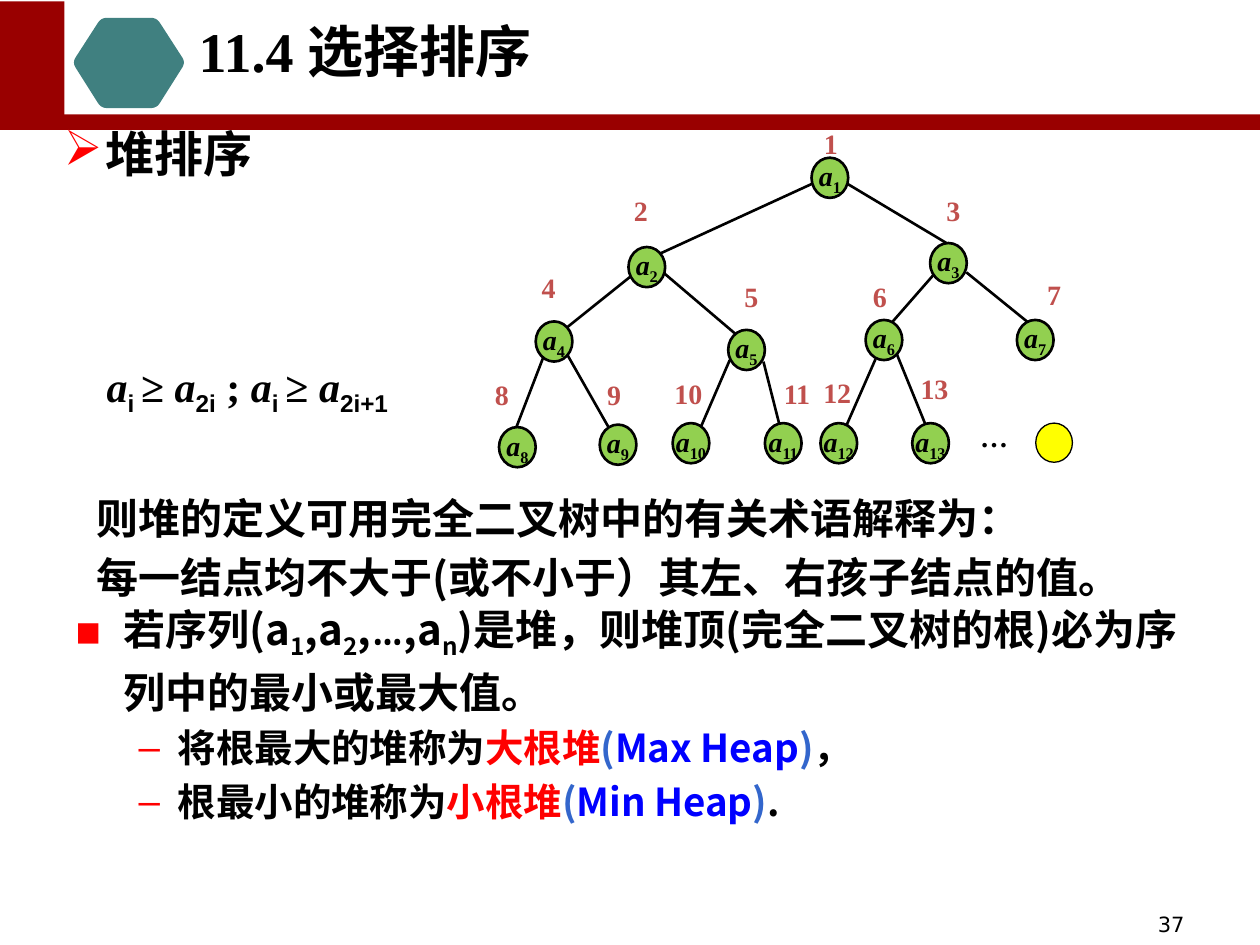
from lxml import etree
from pptx import Presentation
from pptx.dml.color import RGBColor
from pptx.enum.shapes import MSO_CONNECTOR, MSO_SHAPE
from pptx.enum.text import MSO_ANCHOR, MSO_AUTO_SIZE, PP_ALIGN
from pptx.oxml.ns import qn
from pptx.util import Cm, Pt

RECTANGLE, OVAL = MSO_SHAPE.RECTANGLE, MSO_SHAPE.OVAL
STRAIGHT = MSO_CONNECTOR.STRAIGHT
TOP, MIDDLE = MSO_ANCHOR.TOP, MSO_ANCHOR.MIDDLE
LEFT, CENTER, RIGHT = PP_ALIGN.LEFT, PP_ALIGN.CENTER, PP_ALIGN.RIGHT

BLACK = RGBColor(0x00, 0x00, 0x00)
WHITE = RGBColor(0xFF, 0xFF, 0xFF)
DARK_RED = RGBColor(0x99, 0x00, 0x00)
TEAL = RGBColor(0x40, 0x80, 0x80)
GREEN = RGBColor(0x92, 0xD0, 0x50)
YELLOW = RGBColor(0xFF, 0xFF, 0x00)
LABEL_RED = RGBColor(0xC0, 0x50, 0x4D)
RED = RGBColor(0xFF, 0x00, 0x00)
BLUE = RGBColor(0x00, 0x00, 0xFF)
PAREN_BLUE = RGBColor(0x33, 0x66, 0xCC)

SERIF, SANS, CJK = "Times New Roman", "Arial", "Noto Sans CJK SC"
NODE_SIZE, LABEL_SIZE = (0.74, 0.81), (1.3, 0.97)

# Per heap position, in cm: node corner, label corner, edge from the parent.
TREE = [
    ((16.36, 3.18), (16.10, 2.41), None),
    ((12.67, 4.98), (12.27, 3.76), (16.36, 3.71, 13.31, 5.11)),
    ((18.75, 4.90), (18.57, 3.76), (17.09, 3.71, 19.13, 4.93)),
    ((10.80, 6.48), (10.41, 5.31), (12.73, 5.56, 11.43, 6.60)),
    ((14.68, 6.65), (14.50, 5.49), (13.39, 5.51, 14.86, 6.76)),
    ((17.45, 6.45), (17.09, 5.49), (18.82, 5.54, 17.98, 6.50)),
    ((20.50, 6.45), (20.60, 5.44), (19.48, 5.49, 20.85, 6.60)),
    ((10.06, 8.61), (9.47, 7.47), (10.95, 7.21, 10.41, 8.61)),
    ((12.09, 8.56), (11.73, 7.47), (11.43, 7.14, 12.34, 8.74)),
    ((13.56, 8.53), (13.23, 7.44), (14.71, 7.26, 14.05, 8.79)),
    ((15.42, 8.53), (15.42, 7.44), (15.39, 7.29, 15.77, 8.79)),
    ((16.54, 8.53), (16.23, 7.42), (17.65, 7.24, 16.97, 8.79)),
    ((18.39, 8.53), (18.19, 7.34), (18.08, 7.14, 18.75, 8.79)),
]


def add_run(para, text, size, font=SERIF, color=BLACK, bold=True, italic=False, sub=False):
    span = para.add_run()
    span.text = text
    span.font.size = Pt(size)
    span.font.bold = bold
    span.font.italic = italic
    span.font.color.rgb = color
    span.font.name = font
    properties = span._r.get_or_add_rPr()
    etree.SubElement(properties, qn("a:ea")).set("typeface", CJK)
    if sub:
        properties.set("baseline", "-25000")


def format_list(para, margin, indent=0, bullet=None):
    """Set the indents in cm, and a red bullet or none."""
    properties = para._p.get_or_add_pPr()
    properties.set("marL", str(Cm(margin)))
    properties.set("indent", str(Cm(indent)))
    if bullet is None:
        etree.SubElement(properties, qn("a:buNone"))
        return
    color = etree.SubElement(properties, qn("a:buClr"))
    etree.SubElement(color, qn("a:srgbClr")).set("val", str(RED))
    etree.SubElement(properties, qn("a:buChar")).set("char", bullet)


def add_text_box(page, left, top, width, height, wrap=True):
    box = page.shapes.add_textbox(Cm(left), Cm(top), Cm(width), Cm(height))
    box.text_frame.word_wrap = wrap
    return box.text_frame


def style_shape(shape, fill=None, line_width=None):
    shape.shadow.inherit = False
    if fill is None:
        shape.fill.background()
    else:
        shape.fill.solid()
        shape.fill.fore_color.rgb = fill
    if line_width is None:
        shape.line.fill.background()
    else:
        shape.line.color.rgb = BLACK
        shape.line.width = Pt(line_width)


def add_preset(page, kind, corner, size, fill=None, line_width=None):
    shape = page.shapes.add_shape(kind, *(Cm(value) for value in (*corner, *size)))
    style_shape(shape, fill, line_width)
    return shape


def centered_para(shape):
    frame = shape.text_frame
    frame.word_wrap = False
    frame.vertical_anchor = MIDDLE
    frame.paragraphs[0].alignment = CENTER
    return frame.paragraphs[0]


def add_edge(page, ends):
    edge = page.shapes.add_connector(STRAIGHT, *(Cm(value) for value in ends))
    edge.line.color.rgb = BLACK
    edge.line.width = Pt(1.5)
    etree.SubElement(edge._element.spPr, qn("a:effectLst"))


def add_rounded_hexagon(page):
    """Trace each corner as a short quadratic curve between its two sides."""
    corners = [(2.04, 0.36), (3.16, 0.36), (3.74, 1.26), (3.16, 2.18), (2.04, 2.18), (1.46, 1.26)]
    cut, steps = 0.11, 6
    points = []
    for index, corner in enumerate(corners):
        before, after = corners[index - 1], corners[(index + 1) % len(corners)]
        start, end = ([c + cut * (n - c) for c, n in zip(corner, near)] for near in (before, after))
        for step in range(steps + 1):
            t = step / steps
            points.append([Cm((1 - t) ** 2 * s + 2 * t * (1 - t) * c + t * t * e)
                           for s, c, e in zip(start, corner, end)])
    builder = page.shapes.build_freeform(*points[0])
    builder.add_line_segments(points[1:], close=True)
    style_shape(builder.convert_to_shape(), TEAL)


def add_header(page):
    add_preset(page, RECTANGLE, (0, 0.03), (25.4, 2.59), DARK_RED)
    add_preset(page, RECTANGLE, (1.3, 0), (24.1, 2.31), WHITE)
    add_rounded_hexagon(page)


def fill_title(title):
    title.left, title.top, title.width, title.height = Cm(-2.49), Cm(0.33), Cm(19.71), Cm(2.08)
    frame = title.text_frame
    frame.vertical_anchor = TOP
    frame.margin_top = 0
    frame.paragraphs[0].alignment = CENTER
    add_run(frame.paragraphs[0], "11.4 选择排序", 32)


def fill_body(body):
    body.left, body.top, body.width, body.height = Cm(1.27), Cm(9.68), Cm(22.86), Cm(7.26)
    frame = body.text_frame
    frame.auto_size = MSO_AUTO_SIZE.NONE
    frame.vertical_anchor = TOP
    plain, square, dash = (0.43, 0, None), (0.97, -0.97, "■"), (2.06, -0.79, "–")
    items = [
        (plain, 0, 24, [("则堆的定义可用完全二叉树中的有关术语解释为：", {})]),
        (plain, 0, 24, [("每一结点均不大于(或不小于）其左、右孩子结点的值。", {})]),
        (square, 0, 24, [("若序列(a", {}), ("1", {"sub": True}), (",a", {}), ("2", {"sub": True}),
                         (",", {}), ("…", {"font": "Cambria"}), (",a", {}), ("n", {"sub": True}),
                         (")是堆，则堆顶(完全二叉树的根)必为序列中的最小或最大值。", {})]),
    ]
    for lead, heap, name, stop in (("将根最大的堆称为", "大根堆", "Max Heap", "，"),
                                   ("根最小的堆称为", "小根堆", "Min Heap", ".")):
        items.append((dash, 1, 22, [(lead, {}), (heap, {"color": RED}), ("(", {"color": PAREN_BLUE}),
                                    (name, {"color": BLUE}), (")", {"color": PAREN_BLUE}), (stop, {})]))
    for index, (layout, level, size, spans) in enumerate(items):
        para = frame.add_paragraph() if index else frame.paragraphs[0]
        format_list(para, *layout)
        para.level = level
        para.alignment = LEFT
        para.line_spacing = Pt(32.2 if level == 0 else 29)
        para.space_before = Pt(1.5 if index else 0)
        for text, style in spans:
            add_run(para, text, size, **{"font": CJK, **style})


def add_heading(page):
    frame = add_text_box(page, 1.04, 2.62, 4.32, 1.35, wrap=False)
    frame.margin_top = 0
    para = frame.paragraphs[0]
    format_list(para, 0.84, -0.84, "➢")
    para.line_spacing = 0.9
    add_run(para, "堆排序", 28)


def add_heap_condition(page):
    para = add_text_box(page, 1.9, 7.14, 7.39, 1.27).paragraphs[0]
    for child, ending in (("2i", " ; "), ("2i+1", "")):
        add_run(para, "a", 24, italic=True)
        add_run(para, "i ", 24, SANS, sub=True)
        add_run(para, "≥ ", 24)
        add_run(para, "a", 24, italic=True)
        add_run(para, child, 24, SANS, sub=True)
        if ending:
            add_run(para, ending, 24)


def add_tree(page):
    for _, _, edge in TREE:
        if edge:
            add_edge(page, edge)
    for number, (node_corner, label_corner, _) in enumerate(TREE, start=1):
        node = centered_para(add_preset(page, OVAL, node_corner, NODE_SIZE, GREEN, 1.5))
        add_run(node, "a", 16, italic=True)
        add_run(node, str(number), 16, sub=True)
        label = centered_para(add_preset(page, OVAL, label_corner, LABEL_SIZE))
        add_run(label, str(number), 16, color=LABEL_RED)
    add_preset(page, OVAL, (20.88, 8.53), (0.74, 0.79), YELLOW, 0.75)
    add_run(add_text_box(page, 19.51, 8.33, 1.4, 0.94).paragraphs[0], "…", 16)


def add_page_number(page):
    frame = add_text_box(page, 18.21, 18.31, 5.92, 0.64)
    frame.vertical_anchor = MIDDLE
    frame.paragraphs[0].alignment = RIGHT
    add_run(frame.paragraphs[0], "37", 12, "DejaVu Sans", bold=False)


def main():
    deck = Presentation()
    deck.slide_width, deck.slide_height = Cm(25.4), Cm(19.05)
    page = deck.slides.add_slide(deck.slide_layouts[1])
    title, body = page.shapes.title, page.placeholders[1]
    add_header(page)
    for placeholder in (title, body):  # bring the text in front of the header
        placeholder.element.getparent().append(placeholder.element)
    fill_title(title)
    fill_body(body)
    add_heading(page)
    add_heap_condition(page)
    add_tree(page)
    add_page_number(page)
    deck.save("out.pptx")


if __name__ == "__main__":
    main()
